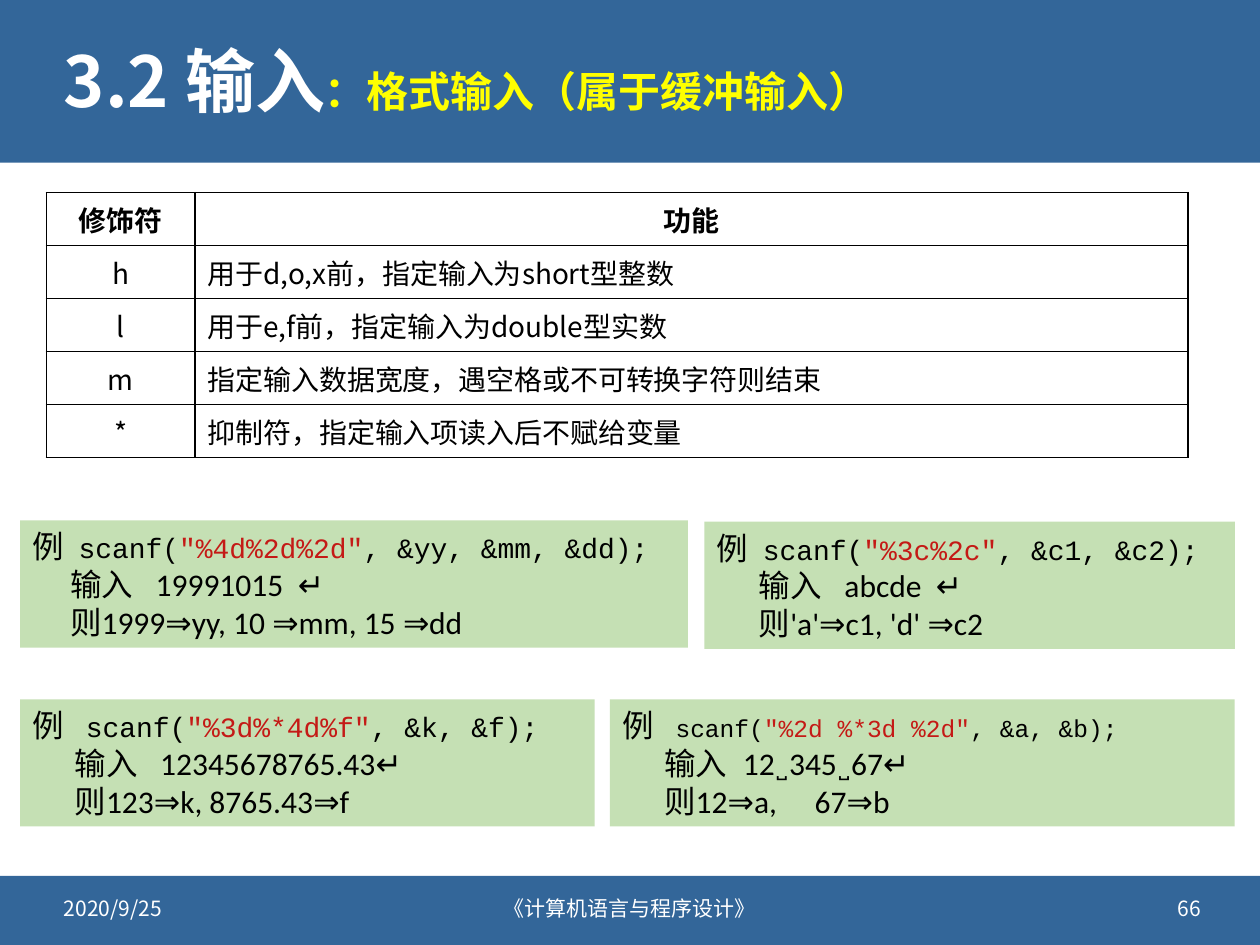
from lxml import etree
from pptx import Presentation
from pptx.dml.color import RGBColor
from pptx.enum import shapes, text
from pptx.oxml import ns
from pptx.util import Pt

CJK = "Noto Sans CJK SC"
BLUE, WHITE, BLACK = "336699", "FFFFFF", "000000"
LEFT, CENTER, RIGHT = text.PP_ALIGN.LEFT, text.PP_ALIGN.CENTER, text.PP_ALIGN.RIGHT


def color(value):
    return RGBColor.from_string(value)


def add_span(para, words, size=12, font=CJK, fill=WHITE, bold=False):
    span = para.add_run()
    span.text = words
    span.font.size = Pt(size)
    span.font.name = font
    span.font.bold = bold
    span.font.color.rgb = color(fill)
    east_asian = etree.SubElement(span.font._element, ns.qn("a:ea"))
    east_asian.set("typeface", CJK)


deck = Presentation()
deck.slide_width, deck.slide_height = Pt(720), Pt(540)
page = deck.slides.add_slide(deck.slide_layouts[6])

# Header and footer bands
for top, height in ((0, 92.9), (500.5, 39.5)):
    band = page.shapes.add_shape(
        shapes.MSO_SHAPE.RECTANGLE, Pt(0), Pt(top), Pt(720), Pt(height))
    band.shadow.inherit = False
    band.fill.solid()
    band.fill.fore_color.rgb = color(BLUE)
    band.line.fill.background()

# Title and footer texts
title = [("3.2 输入", 40, WHITE, True), ("：格式输入（属于缓冲输入）", 24, "FFFF00", True)]
labels = [
    (29.5, 13, 661.5, 71.3, LEFT, title),
    (29.5, 504.7, 172.8, 28.8, LEFT, [("2020/9/25", 12, WHITE, False)]),
    (230.4, 504.7, 259.2, 28.8, CENTER, [("《计算机语言与程序设计》", 12, WHITE, False)]),
    (520.6, 504.7, 172.8, 28.8, RIGHT, [("66", 12, WHITE, False)]),
]
for left, top, width, height, align, spans in labels:
    box = page.shapes.add_textbox(Pt(left), Pt(top), Pt(width), Pt(height))
    box.text_frame.word_wrap = True
    box.text_frame.vertical_anchor = text.MSO_ANCHOR.MIDDLE
    para = box.text_frame.paragraphs[0]
    para.alignment = align
    if spans is title:
        para.line_spacing = 0.9
    for words, size, fill, bold in spans:
        add_span(para, words, size=size, fill=fill, bold=bold)

# Table of modifiers
rows = [
    ("修饰符", "功能"),
    ("h", "用于d,o,x前，指定输入为short型整数"),
    ("l", "用于e,f前，指定输入为double型实数"),
    ("m", "指定输入数据宽度，遇空格或不可转换字符则结束"),
    ("*", "抑制符，指定输入项读入后不赋给变量"),
]
ROW_HEIGHT = 30.3
table = page.shapes.add_table(
    len(rows), 2, Pt(26.5), Pt(110), Pt(652.3), Pt(ROW_HEIGHT * len(rows))).table
table.columns[0].width, table.columns[1].width = Pt(85), Pt(567.3)
for row_index, row in enumerate(rows):
    table.rows[row_index].height = Pt(ROW_HEIGHT)
    for column_index, words in enumerate(row):
        cell = table.cell(row_index, column_index)
        cell.vertical_anchor = text.MSO_ANCHOR.MIDDLE
        para = cell.text_frame.paragraphs[0]
        header = row_index == 0
        para.alignment = CENTER if header or column_index == 0 else LEFT
        add_span(para, words, size=16, fill=BLACK, bold=header)
        properties = cell._tc.get_or_add_tcPr()
        for side in ("lnL", "lnR", "lnT", "lnB"):
            border = etree.SubElement(properties, ns.qn(f"a:{side}"), w=str(Pt(1)))
            solid = etree.SubElement(border, ns.qn("a:solidFill"))
            etree.SubElement(solid, ns.qn("a:srgbClr"), val=BLACK)
        cell.fill.solid()
        cell.fill.fore_color.rgb = color(WHITE)

# Example boxes: place, code size, tab stops of the code line and of the
# lines below, format string, arguments, input line, result line
examples = [
    (11.5, 297.4, 381.6, 16, [26.4], [21.5, 70.4, 151.6],
     '"%4d%2d%2d"', ", &yy, &mm, &dd);", "19991015\t↵", "则1999⇒yy, 10 ⇒mm, 15 ⇒dd"),
    (402.5, 298.1, 303.1, 16, [26.4], [24, 73, 125.2],
     '"%3c%2c"', ", &c1, &c2);", "abcde\t↵", "则'a'⇒c1, 'd' ⇒c2"),
    (11.5, 399.6, 328.3, 16, [30.5], [24, 73],
     '"%3d%*4d%f"', ", &k, &f);", "12345678765.43↵", "则123⇒k, 8765.43⇒f"),
    (348.5, 399.6, 357.1, 14, [30.5], [24, 69, 110],
     '"%2d %*3d %2d"', ", &a, &b);", "12 ̺ 345 ̺ 67↵", "则12⇒a,\t67⇒b"),
]
for (left, top, width, code_size, code_stops, line_stops,
     pattern, arguments, entry, result) in examples:
    box = page.shapes.add_shape(
        shapes.MSO_SHAPE.RECTANGLE, Pt(left), Pt(top), Pt(width), Pt(72.7))
    box.shadow.inherit = False
    box.fill.solid()
    box.fill.fore_color.rgb = color("C5E0B4")
    box.line.fill.background()
    frame = box.text_frame
    frame.word_wrap = True
    frame.vertical_anchor = text.MSO_ANCHOR.MIDDLE
    code = [("例\t", 18, "Calibri", BLACK),
            ("scanf(", code_size, "Courier New", BLACK),
            (pattern, code_size, "Courier New", "C41A16"),
            (arguments, code_size, "Courier New", BLACK)]
    lines = [
        (code_stops, code),
        (line_stops, [(f"\t输入\t{entry}", 18, "Calibri", BLACK)]),
        (line_stops, [(f"\t{result}", 18, "Calibri", BLACK)]),
    ]
    for index, (stops, spans) in enumerate(lines):
        para = frame.add_paragraph() if index else frame.paragraphs[0]
        para.alignment = LEFT
        tabs = etree.SubElement(para._p.get_or_add_pPr(), ns.qn("a:tabLst"))
        for stop in stops:
            etree.SubElement(tabs, ns.qn("a:tab"), pos=str(Pt(stop)), algn="l")
        for words, size, font, fill in spans:
            add_span(para, words, size=size, font=font, fill=fill)

deck.save("out.pptx")
